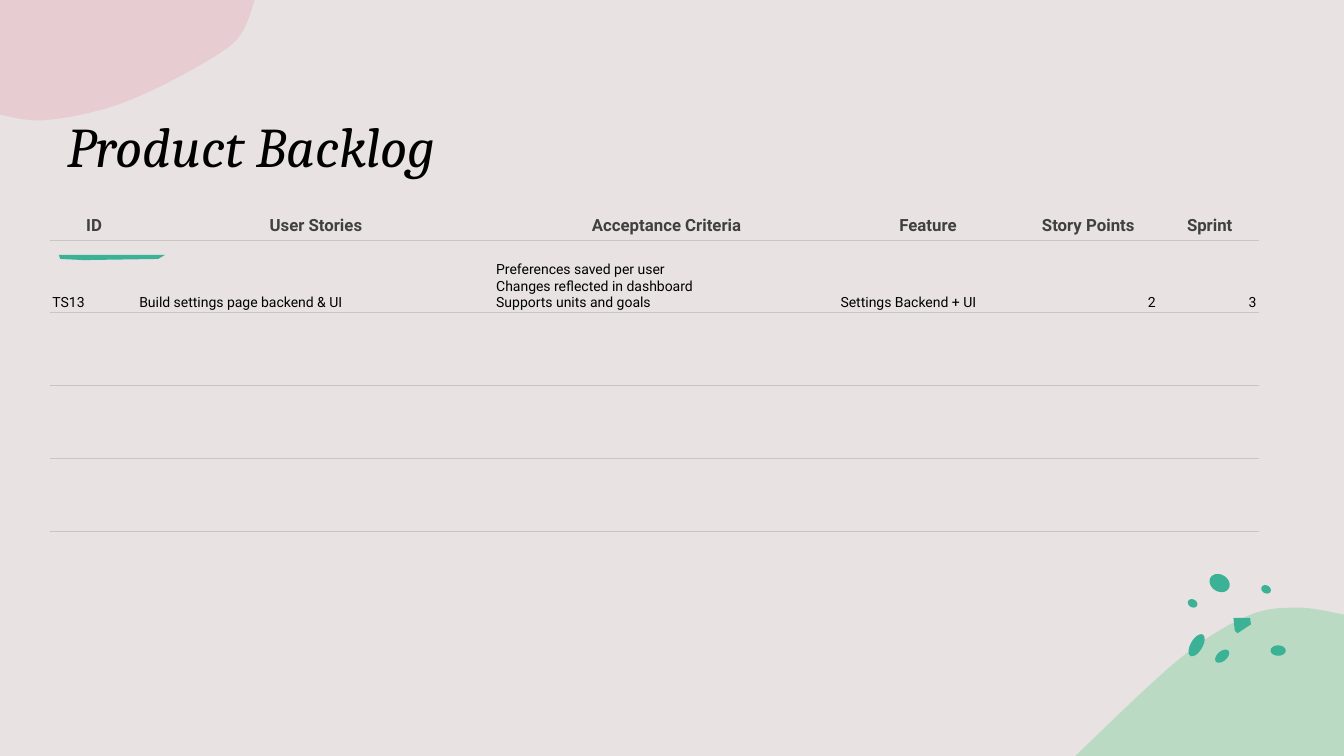
"""Build the product backlog slide with its table and organic decorations."""
from dataclasses import dataclass
from math import cos, sin, tau

from lxml.etree import SubElement
from pptx import Presentation
from pptx.dml.color import RGBColor
from pptx.enum.text import MSO_ANCHOR as Anchor, PP_ALIGN as Align
from pptx.oxml.ns import qn
from pptx.slide import Slide
from pptx.table import _Cell as Cell
from pptx.text.text import TextFrame
from pptx.util import Pt

BACKGROUND = RGBColor(0xE8, 0xE2, 0xE3)
PINK = RGBColor(0xE7, 0xB8, 0xC0)
GREEN = RGBColor(0x90, 0xD3, 0xA7)
TEAL = RGBColor(0x3B, 0xB1, 0x95)
BLACK = RGBColor(0, 0, 0)
HEADER_GREY = RGBColor(0x40, 0x40, 0x40)
RULE_GREY = RGBColor(0xC7, 0xC6, 0xC1)
NO_GRID_STYLE = "{2D5ABB26-0587-4C30-8999-92F81FD0307C}"
CURVE_STEPS = 10
PEBBLE_STEPS = 28
HEADER_HEIGHT = 17.3
ROW_HEIGHT = 52
ROW_COUNT = 6
Point = tuple[float, float]


@dataclass(frozen=True)
class Hill:
    """A translucent corner shape: a smooth edge closed by one corner."""
    color: RGBColor
    edge: tuple[Point, ...]
    corner: Point


@dataclass(frozen=True)
class Pebble:
    """A rounded spot filling a box, leaning by a phase shift."""
    left: float
    top: float
    width: float
    height: float
    lean: float = 0.2


@dataclass(frozen=True)
class Column:
    """One backlog column with its heading and its entry."""
    heading: str
    width: float
    entry: str
    align: Align = Align.LEFT


@dataclass(frozen=True)
class CellStyle:
    """Text look and margins of a table row."""
    size: float
    color: RGBColor
    bold: bool
    left: float
    right: float
    vertical: float


HEADER_STYLE = CellStyle(12, HEADER_GREY, True, 5, 3.6, 2.9)
ENTRY_STYLE = CellStyle(10, BLACK, False, 2, 2, 1.4)

COLUMNS = (
    Column("ID", 62, "TS13"),
    Column("User Stories", 255, "Build settings page backend & UI"),
    Column("Acceptance Criteria", 246,
           "Preferences saved per user\nChanges reflected in dashboard\nSupports units and goals"),
    Column("Feature", 127.5, "Settings Backend + UI"),
    Column("Story Points", 101.5, "2", Align.RIGHT),
    Column("Sprint", 72, "3", Align.RIGHT),
)

HILLS = (
    Hill(GREEN, ((768, 540), (842, 471), (891, 440), (927, 434), (960, 439)), (960, 540)),
    Hill(PINK, ((182, 0), (173, 23), (157, 38), (114, 62), (74, 78), (30, 86), (0, 82)), (0, 0)),
)

PEBBLES = (
    Pebble(868, 464, 10, 9.4, -0.5),
    Pebble(849, 453, 11.5, 15.8, -0.6),
    Pebble(907.6, 461, 10.8, 7.4, 0),
    Pebble(864, 410, 14.4, 13),
    Pebble(901, 418, 6.8, 6),
    Pebble(848.5, 428, 6.8, 6),
)

CHIP = ((881, 441.4), (893, 441.4), (893.5, 446), (884, 452.3), (882, 450.5))
BRUSH_STROKE = ((42, 182), (118, 182), (113, 185), (60, 185.8), (43, 185))


def smooth(knots: tuple[Point, ...]) -> list[Point]:
    """Return points of a Catmull-Rom curve through the knots."""
    padded = (knots[0], *knots, knots[-1])
    points = [knots[0]]
    for before, start, end, after in zip(padded, padded[1:], padded[2:], padded[3:]):
        for step in range(1, CURVE_STEPS + 1):
            t = step / CURVE_STEPS
            points.append(tuple(
                b + t * (c - a + t * (2 * a - 5 * b + 4 * c - d + t * (3 * b - a - 3 * c + d))) / 2
                for a, b, c, d in zip(before, start, end, after)))
    return points


def pebble_outline(pebble: Pebble) -> list[Point]:
    """Return points of a leaning ellipse that fills the pebble's box."""
    angles = [tau * step / PEBBLE_STEPS for step in range(PEBBLE_STEPS)]
    return [(pebble.left + pebble.width * (1 + cos(angle)) / 2,
             pebble.top + pebble.height * (1 + sin(angle + pebble.lean)) / 2)
            for angle in angles]


def draw_outline(page: Slide, points: list[Point] | tuple[Point, ...],
                 color: RGBColor, opacity: int = 100) -> None:
    """Draw one filled closed outline."""
    start, *rest = [(Pt(x), Pt(y)) for x, y in points]
    builder = page.shapes.build_freeform(*start)
    builder.add_line_segments(rest, close=True)
    shape = builder.convert_to_shape()
    shape.shadow.inherit = False
    shape.line.fill.background()
    shape.fill.solid()
    shape.fill.fore_color.rgb = color
    if opacity < 100:
        tint = shape._element.spPr.find(".//" + qn("a:srgbClr"))
        SubElement(tint, qn("a:alpha"), val=str(opacity * 1000))


def format_text(frame: TextFrame, font_name: str, size: float, color: RGBColor,
                align: Align = Align.LEFT, bold: bool = False, italic: bool = False) -> None:
    """Format every paragraph and run of a text frame."""
    for para in frame.paragraphs:
        para.alignment = align
        for span in para.runs:
            font = span.font
            font.name, font.size, font.color.rgb = font_name, Pt(size), color
            font.bold, font.italic = bold, italic


def draw_rule(cell: Cell) -> None:
    """Add a thin grey line below a cell."""
    line = SubElement(cell._tc.get_or_add_tcPr(), qn("a:lnB"), w=str(Pt(0.75)))
    SubElement(SubElement(line, qn("a:solidFill")), qn("a:srgbClr"), val=str(RULE_GREY))


def fill_cell(cell: Cell, text: str, style: CellStyle, align: Align) -> None:
    """Write and style the text of one cell."""
    cell.text_frame.text = text
    cell.vertical_anchor = Anchor.BOTTOM
    cell.margin_left, cell.margin_right = Pt(style.left), Pt(style.right)
    cell.margin_top = cell.margin_bottom = Pt(style.vertical)
    format_text(cell.text_frame, "Roboto", style.size, style.color, align, style.bold)


def draw_backlog(page: Slide) -> None:
    """Draw the backlog table."""
    heights = [HEADER_HEIGHT] + [ROW_HEIGHT] * (ROW_COUNT - 1)
    width = sum(column.width for column in COLUMNS)
    table = page.shapes.add_table(ROW_COUNT, len(COLUMNS), Pt(35.5), Pt(151.2),
                                  Pt(width), Pt(sum(heights))).table
    table.first_row = table.horz_banding = False
    table._tbl.tblPr.find(qn("a:tableStyleId")).text = NO_GRID_STYLE
    for row, height in zip(table.rows, heights):
        row.height = Pt(height)
    for index, column in enumerate(COLUMNS):
        table.columns[index].width = Pt(column.width)
        for row_index in range(ROW_COUNT):
            cell = table.cell(row_index, index)
            if row_index < ROW_COUNT - 1:
                draw_rule(cell)
            cell.fill.background()
        fill_cell(table.cell(0, index), column.heading, HEADER_STYLE, Align.CENTER)
        fill_cell(table.cell(1, index), column.entry, ENTRY_STYLE, column.align)


def main() -> None:
    """Build and save the deck."""
    deck = Presentation()
    deck.slide_width, deck.slide_height = Pt(960), Pt(540)
    page = deck.slides.add_slide(deck.slide_layouts[6])
    page.background.fill.solid()
    page.background.fill.fore_color.rgb = BACKGROUND
    for hill in HILLS:
        draw_outline(page, [*smooth(hill.edge), hill.corner], hill.color, opacity=50)
    for outline in (*map(pebble_outline, PEBBLES), CHIP, BRUSH_STROKE):
        draw_outline(page, outline, TEAL)
    box = page.shapes.add_textbox(Pt(41), Pt(76.3), Pt(439.2), Pt(124.6))
    box.text_frame.word_wrap = True
    box.text_frame.text = "Product Backlog"
    format_text(box.text_frame, "Cambria", 40, BLACK, italic=True)
    draw_backlog(page)
    deck.save("out.pptx")


if __name__ == "__main__":
    main()
